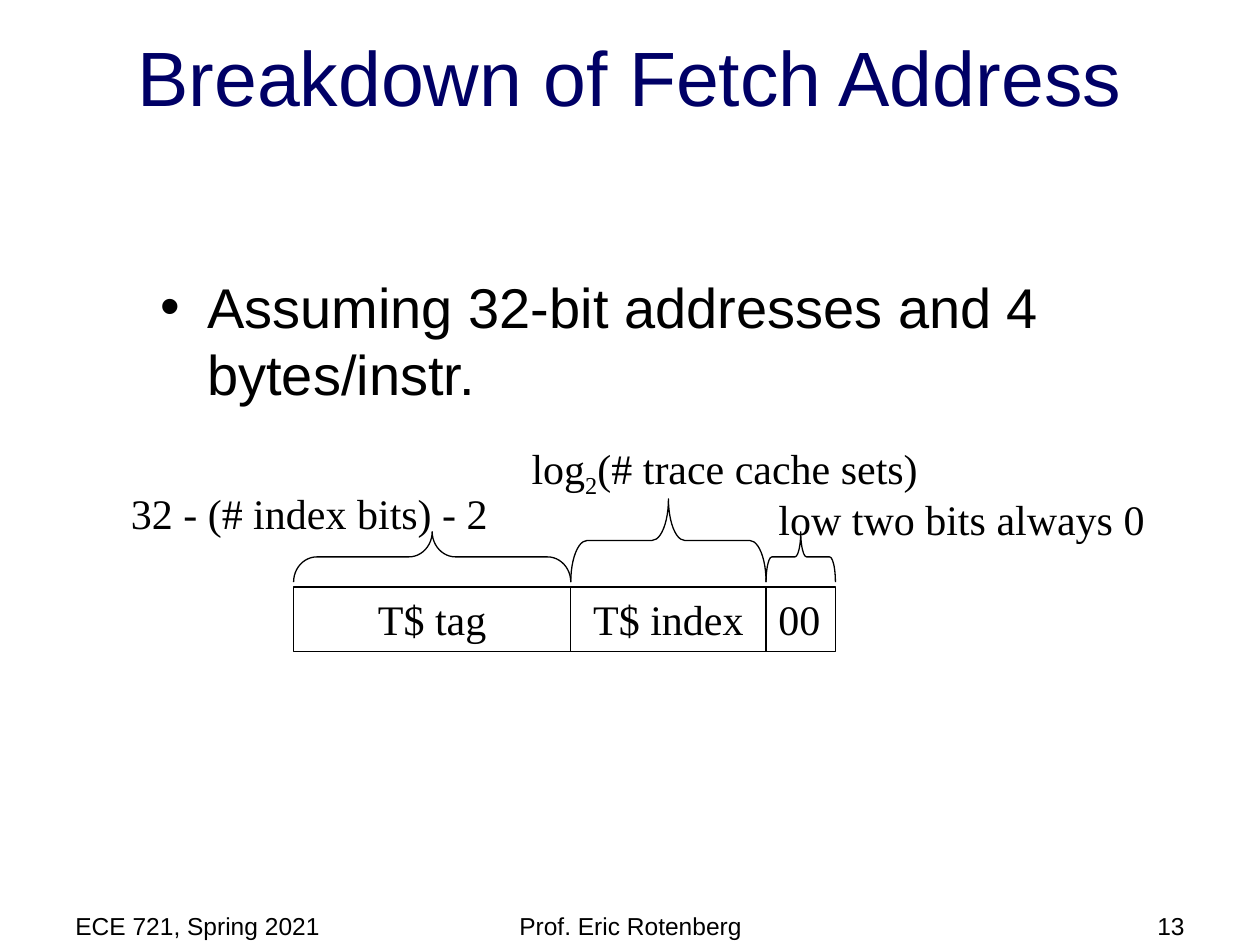
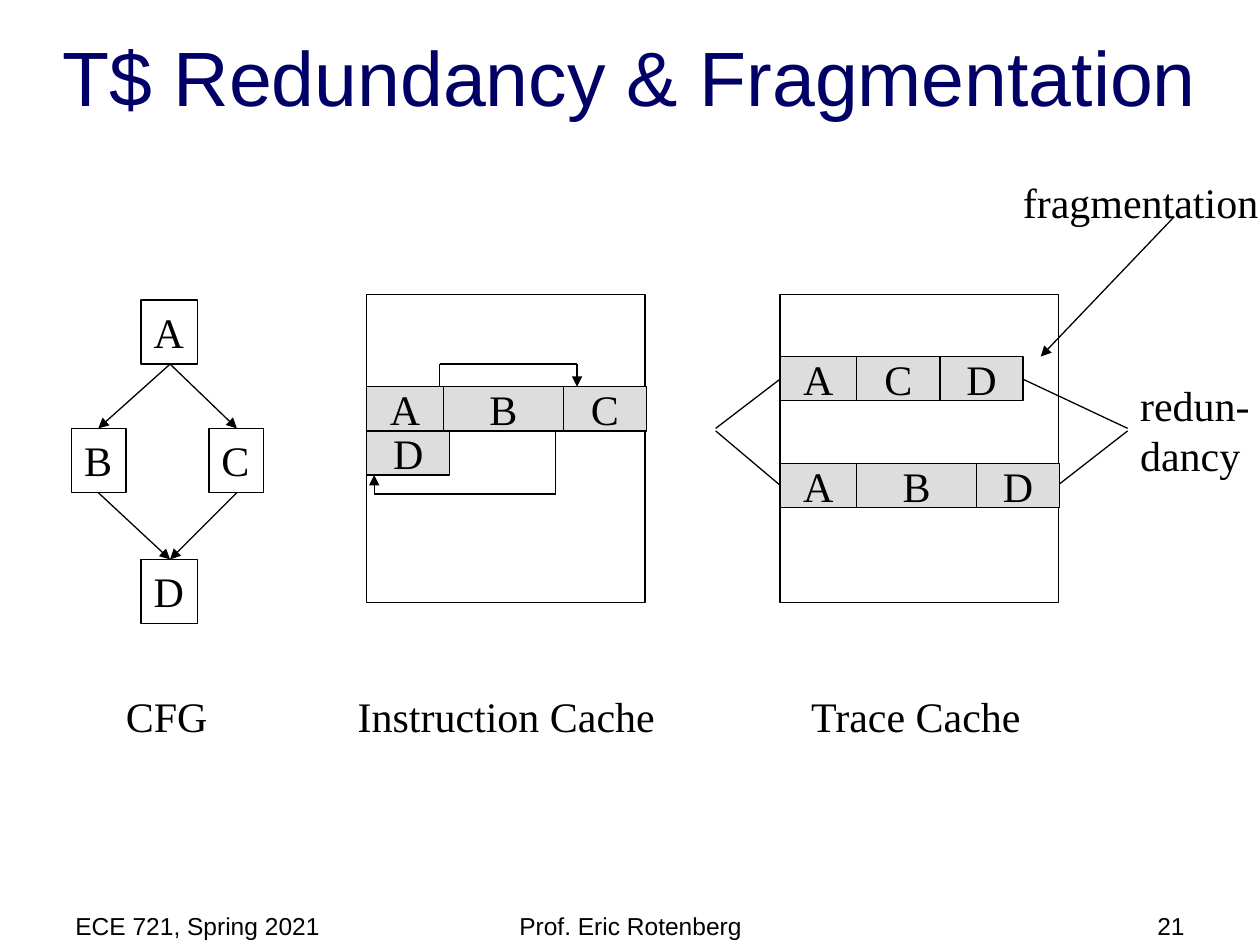
from pptx import Presentation
from pptx.dml.color import RGBColor
from pptx.enum.shapes import MSO_CONNECTOR, MSO_SHAPE
from pptx.enum.text import MSO_ANCHOR, MSO_AUTO_SIZE, PP_ALIGN
from pptx.oxml.ns import qn
from pptx.util import Inches, Pt
from lxml.etree import SubElement

BLACK, NAVY, GREY = "000000", "000066", "DDDDDD"
SANS, SERIF = "Arial", "Times New Roman"
LINE_WIDTH = Pt(0.75)
color = RGBColor.from_string


def add_box(page, frame, text="", kind=None, fill=None, align=PP_ALIGN.LEFT,
            anchor=MSO_ANCHOR.TOP, size=24, font=SERIF, wrap=False):
    """Add an outlined shape, or a plain text box when kind is None."""
    frame = [Inches(length) for length in frame]
    if kind is None:
        box = page.shapes.add_textbox(*frame)
    else:
        box = page.shapes.add_shape(kind, *frame)
        box.shadow.inherit = False
        box.line.color.rgb = color(BLACK)
        box.line.width = LINE_WIDTH
        if fill:
            box.fill.solid()
            box.fill.fore_color.rgb = color(fill)
        else:
            box.fill.background()
    if text:
        box.text_frame.text = text
        box.text_frame.word_wrap = wrap
        box.text_frame.vertical_anchor = anchor
        if anchor == MSO_ANCHOR.TOP:
            box.text_frame.auto_size = MSO_AUTO_SIZE.SHAPE_TO_FIT_TEXT
        for para in box.text_frame.paragraphs:
            para.alignment = align
            for span in para.runs:
                span.font.size = Pt(size)
                span.font.name = font
                span.font.color.rgb = color(BLACK)
    return box


def add_line(page, start, end, arrow=False):
    points = [Inches(length) for length in (*start, *end)]
    line = page.shapes.add_connector(MSO_CONNECTOR.STRAIGHT, *points)
    line.line.color.rgb = color(BLACK)
    line.line.width = LINE_WIDTH
    properties = line._element.spPr
    if arrow:
        SubElement(properties.find(qn("a:ln")), qn("a:tailEnd"), type="triangle")
    SubElement(properties, qn("a:effectLst"))


deck = Presentation()
deck.slide_width, deck.slide_height = Inches(10), Inches(7.5)

# Titles and footers shared by both slides
pages = []
for layout, title_text, number in (
        (1, "Breakdown of Fetch Address", "13"),
        (5, "T$ Redundancy & Fragmentation", "21")):
    page = deck.slides.add_slide(deck.slide_layouts[layout])
    pages.append(page)
    title = page.shapes.title
    title.left, title.top = Inches(0), Inches(0.18)
    title.width, title.height = Inches(10), Inches(0.84)
    title.text_frame.text = title_text
    title.text_frame.vertical_anchor = MSO_ANCHOR.BOTTOM
    para = title.text_frame.paragraphs[0]
    para.alignment = PP_ALIGN.CENTER
    span = para.runs[0]
    span.font.size, span.font.name = Pt(44), SANS
    span.font.color.rgb = color(NAVY)
    for left, width, text, align in (
            (0.5, 2.33, "ECE 721, Spring 2021", PP_ALIGN.LEFT),
            (3.42, 3.17, "Prof. Eric Rotenberg", PP_ALIGN.CENTER),
            (7.17, 2.33, number, PP_ALIGN.RIGHT)):
        add_box(page, (left, 7.15, width, 0.4), text, align=align,
                anchor=MSO_ANCHOR.MIDDLE, size=14, font=SANS, wrap=True)
address_page, cache_page = pages

# Slide 1: bullet, inset from the full-width body
body = address_page.placeholders[1]
body.left, body.top = Inches(0), Inches(1.26)
body.width, body.height = Inches(10), Inches(5.81)
body.text_frame.text = "Assuming 32-bit addresses and 4 bytes/instr."
body.text_frame.margin_left = Inches(1.27)
body.text_frame.margin_top = Inches(0.9)
para = body.text_frame.paragraphs[0]
para.space_before = Pt(7.8)
span = para.runs[0]
span.font.size, span.font.name = Pt(32), SANS
span.font.color.rgb = color(BLACK)

# Address fields, each with a brace turned to point up
left = 2.33
for text, width, brace_top, brace_height, curve, align, wrap in (
        ("T$ tag", 2.2, 4.22, 0.4, 0.463, PP_ALIGN.CENTER, True),
        ("T$ index", 1.55, 3.96, 0.66, 0.197, PP_ALIGN.CENTER, True),
        ("00", 0.55, 4.22, 0.4, 0.115, PP_ALIGN.LEFT, False)):
    add_box(address_page, (left, 4.66, width, 0.51), text,
            MSO_SHAPE.RECTANGLE, align=align, wrap=wrap)
    center_x, center_y = left + width / 2, brace_top + brace_height / 2
    brace = add_box(address_page, (center_x - brace_height / 2, center_y - width / 2,
                                   brace_height, width), kind=MSO_SHAPE.LEFT_BRACE)
    brace.rotation = 90
    brace.adjustments[0], brace.adjustments[1] = curve, 0.5
    left += width

# Field sizes
add_box(address_page, (0.94, 3.82, 3.03, 0.5), "32 - (# index bits) - 2")
add_box(address_page, (6.08, 3.87, 3.14, 0.5), "low two bits always 0")
log_label = add_box(address_page, (4.12, 3.46, 3.28, 0.5), "log")
para = log_label.text_frame.paragraphs[0]
for text in ("2", "(# trace cache sets)"):
    span = para.add_run()
    span.text = text
    span.font.size, span.font.name = Pt(24), SERIF
    span.font.color.rgb = color(BLACK)
para.runs[1]._r.get_or_add_rPr().set("baseline", "-25000")

# Slide 2: control flow graph
for text, left, top, width in (("A", 1.12, 2.38, 0.45), ("B", 0.57, 3.4, 0.43),
                               ("C", 1.66, 3.4, 0.43), ("D", 1.12, 4.44, 0.45)):
    add_box(cache_page, (left, top, width, 0.51), text, MSO_SHAPE.RECTANGLE)
for branch_x in (0.78, 1.88):
    add_line(cache_page, (1.35, 2.89), (branch_x, 3.4), arrow=True)
    add_line(cache_page, (branch_x, 3.91), (1.35, 4.44), arrow=True)

# Cache frames and their rows of blocks
for left in (2.91, 6.19):
    add_box(cache_page, (left, 2.34, 2.21, 2.44), kind=MSO_SHAPE.RECTANGLE)
block_widths = {"A": 0.61, "B": 0.95, "C": 0.66, "D": 0.66}
for left, top, blocks in ((2.91, 3.07, "ABC"), (2.91, 3.42, "D"),
                          (6.19, 2.83, "ACD"), (6.19, 3.68, "ABD")):
    for block in blocks:
        add_box(cache_page, (left, top, block_widths[block], 0.35), block,
                MSO_SHAPE.RECTANGLE, GREY, PP_ALIGN.CENTER, MSO_ANCHOR.MIDDLE)
        left += block_widths[block]

# Jumps in the instruction cache: each path ends in an arrow
for path_points in (
        ((3.49, 3.07), (3.49, 2.89), (4.58, 2.89), (4.58, 3.07)),
        ((4.41, 3.42), (4.41, 3.92), (2.97, 3.92), (2.97, 3.77))):
    for step in range(3):
        add_line(cache_page, path_points[step], path_points[step + 1], arrow=step == 2)

# Pointers to redundant blocks and to the fragment
for start, end in (((8.12, 3.01), (8.95, 3.4)), ((8.41, 3.84), (8.95, 3.42)),
                   ((6.19, 3.01), (5.68, 3.4)), ((5.68, 3.42), (6.19, 3.85))):
    add_line(cache_page, start, end)
add_line(cache_page, (9.32, 1.72), (8.26, 2.83), arrow=True)

# Labels
for text, left, top, width, height in (
        ("CFG", 0.9, 5.43, 0.85, 0.5),
        ("Instruction Cache", 2.74, 5.43, 2.56, 0.5),
        ("Trace Cache", 6.34, 5.43, 1.87, 0.5),
        ("fragmentation", 8.02, 1.35, 2.07, 0.5),
        ("redun-\ndancy", 8.95, 2.96, 1.07, 0.9)):
    add_box(cache_page, (left, top, width, height), text)

deck.save("out.pptx")
